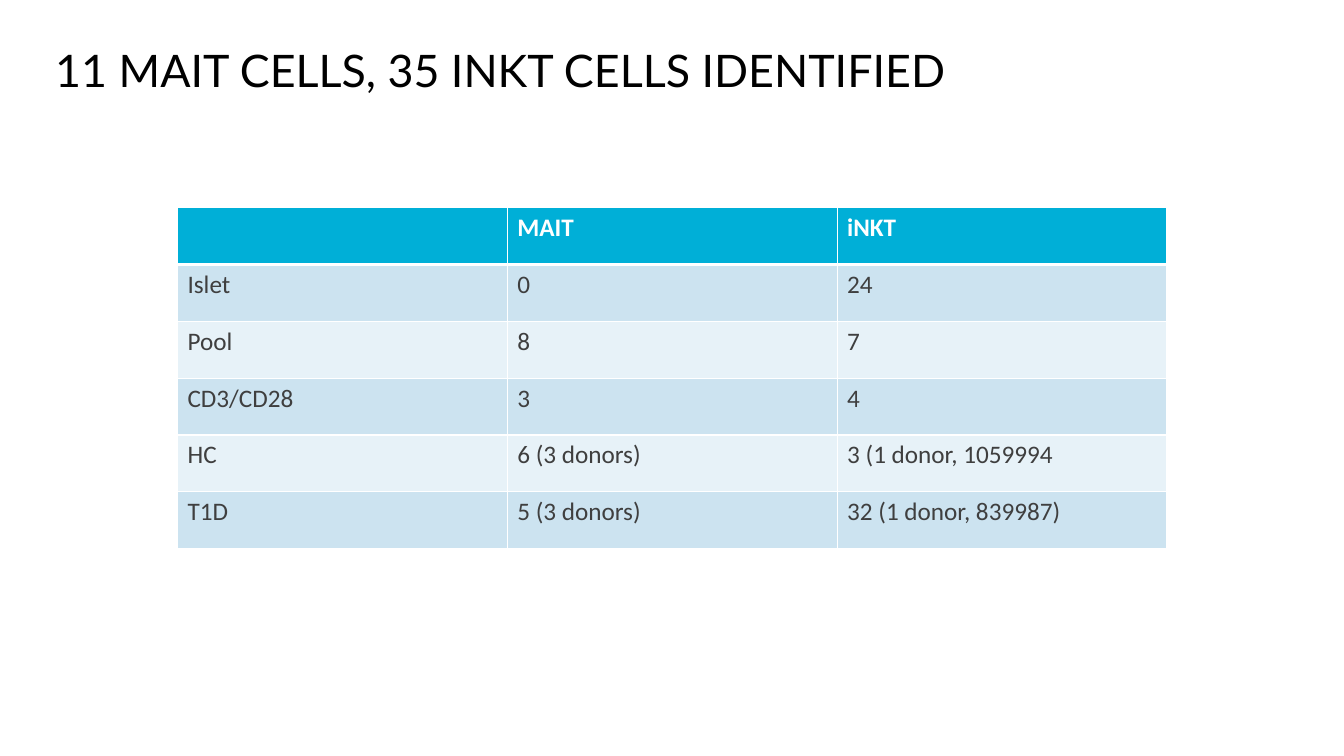
from lxml.etree import SubElement
from pptx import Presentation
from pptx.dml.color import RGBColor
from pptx.enum.text import MSO_ANCHOR
from pptx.oxml.ns import qn
from pptx.util import Pt

COLORS = {
    "title": "000000",
    "header": "00AFD7",
    "header_text": "FFFFFF",
    "odd_row": "CCE3F0",
    "even_row": "E7F2F8",
    "body_text": "3F3F3F",
    "border": "FFFFFF",
}
TITLE_FORMAT = {"name": "Lato", "size": Pt(32), "bold": False}
HEADER_FORMAT = {"name": "Calibri", "size": Pt(18), "bold": True}
BODY_FORMAT = {"name": "Calibri", "size": Pt(18), "bold": False}
CELL_COUNTS = [
    ["", "MAIT", "iNKT"],
    ["Islet", "0", "24"],
    ["Pool", "8", "7"],
    ["CD3/CD28", "3", "4"],
    ["HC", "6 (3 donors)", "3 (1 donor, 1059994"],
    ["T1D", "5 (3 donors)", "32 (1 donor, 839987)"],
]


def write_text(paragraph, text, font_format, color):
    paragraph.text = text
    for name, value in font_format.items():
        setattr(paragraph.font, name, value)
    paragraph.font.color.rgb = RGBColor.from_string(COLORS[color])


def set_borders(cell, widths):
    properties = cell._tc.get_or_add_tcPr()
    for side in ("L", "R", "T", "B"):
        line = SubElement(properties, qn(f"a:ln{side}"), w=str(Pt(widths.get(side, 1))))
        fill = SubElement(line, qn("a:solidFill"))
        SubElement(fill, qn("a:srgbClr"), val=COLORS["border"])


def add_title(slide, left, top, width, height):
    shape = slide.shapes.add_textbox(Pt(left), Pt(top), Pt(width), Pt(height))
    frame = shape.text_frame
    frame.word_wrap = True
    frame.vertical_anchor = MSO_ANCHOR.MIDDLE
    paragraph = frame.paragraphs[0]
    paragraph.line_spacing = 0.9
    write_text(paragraph, "11 MAIT CELLS, 35 INKT CELLS IDENTIFIED", TITLE_FORMAT, "title")


def add_count_table(slide, left, top, width, height):
    row_count, column_count = len(CELL_COUNTS), len(CELL_COUNTS[0])
    table = slide.shapes.add_table(
        row_count, column_count, Pt(left), Pt(top), Pt(width), Pt(height)
    ).table
    for column in table.columns:
        column.width = Pt(width / column_count)
    for row in table.rows:
        row.height = Pt(height / row_count)
    for row_index, texts in enumerate(CELL_COUNTS):
        if row_index == 0:
            fill, font_format, color, widths = "header", HEADER_FORMAT, "header_text", {"B": 3}
        else:
            fill = "odd_row" if row_index % 2 else "even_row"
            font_format, color = BODY_FORMAT, "body_text"
            widths = {"T": 3} if row_index == 1 else {}
        for column_index, text in enumerate(texts):
            cell = table.cell(row_index, column_index)
            set_borders(cell, widths)
            cell.fill.solid()
            cell.fill.fore_color.rgb = RGBColor.from_string(COLORS[fill])
            write_text(cell.text_frame.paragraphs[0], text, font_format, color)


def main():
    presentation = Presentation()
    presentation.slide_width = Pt(960)
    presentation.slide_height = Pt(540)
    slide = presentation.slides.add_slide(presentation.slide_layouts[6])
    add_title(slide, 32.4, 28.8, 895, 46.8)
    add_count_table(slide, 126.8, 148.4, 706.8, 243.4)
    presentation.save("out.pptx")


if __name__ == "__main__":
    main()
